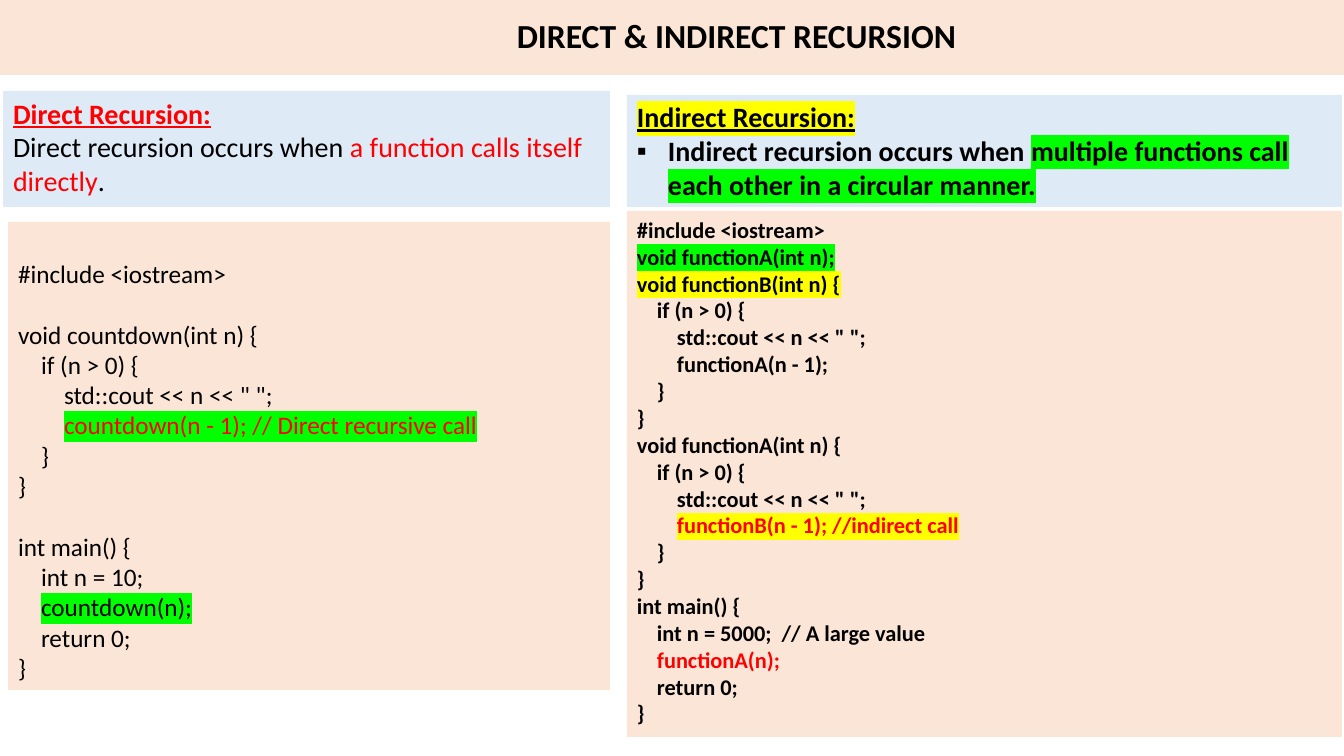
from lxml.etree import SubElement
from pptx import Presentation
from pptx.dml.color import RGBColor
from pptx.enum.shapes import MSO_SHAPE
from pptx.enum.text import MSO_ANCHOR, PP_ALIGN
from pptx.oxml.ns import qn
from pptx.util import Emu, Pt

# Content: each paragraph is (indent depth, [(text, style), ...])
TITLE = [(0, [("DIRECT & INDIRECT RECURSION", "strong")])]

DIRECT = [
    (0, [("Direct Recursion:", "red heading")]),
    (0, [("Direct recursion occurs when ", "plain"),
         ("a function calls itself directly", "red"), (".", "plain")]),
]
INDIRECT = [
    (0, [("Indirect Recursion:", "marked heading")]),
    (1, [("Indirect recursion occurs when ", "strong"),
         ("multiple functions call each other in a circular manner.", "strong green")]),
]
DIRECT_CODE = [
    (0, [("#include <iostream>", "plain")]),
    (0, [("void countdown(int n) {", "plain")]),
    (1, [("if (n > 0) {", "plain")]),
    (2, [('std::cout << n << " ";', "plain")]),
    (2, [("countdown(n - 1); // Direct recursive call", "red green")]),
    (1, [("}", "plain")]),
    (0, [("}", "plain")]),
    (0, [("int main() {", "plain")]),
    (1, [("int n = 10;", "plain")]),
    (1, [("countdown(n);", "green")]),
    (1, [("return 0;", "plain")]),
    (0, [("}", "plain")]),
]
INDIRECT_CODE = [
    (0, [("#include <iostream>", "strong")]),
    (0, [("void functionA(int n);", "strong green")]),
    (0, [("void functionB(int n) {", "strong yellow")]),
    (1, [("if (n > 0) {", "strong")]),
    (2, [('std::cout << n << " ";', "strong")]),
    (2, [("functionA(n - 1);", "strong")]),
    (1, [("}", "strong")]),
    (0, [("}", "strong")]),
    (0, [("void functionA(int n) {", "strong")]),
    (1, [("if (n > 0) {", "strong")]),
    (2, [('std::cout << n << " ";', "strong")]),
    (2, [("\tfunctionB(n - 1); //indirect call", "strong red yellow")]),
    (1, [("}", "strong")]),
    (0, [("}", "strong")]),
    (0, [("int main() {", "strong")]),
    (1, [("int n = 5000;  // A large value", "strong")]),
    (1, [("functionA(n);", "strong red")]),
    (1, [("return 0;", "strong")]),
    (0, [("}", "strong")]),
]

THEME = {
    "font": "Calibri",
    "peach": "FBE5D6", "blue": "DEEBF7", "black": "000000", "red": "FF0000",
    "green": "00FF00", "yellow": "FFFF00",
    "title": 24, "definition": 20, "code": 18, "dense code": 16,
}
STYLES = {
    "plain": {},
    "strong": {"bold": True},
    "red": {"color": "red"},
    "green": {"highlight": "green"},
    "yellow": {"highlight": "yellow"},
    "heading": {"bold": True, "underline": True},
    "marked": {"highlight": "yellow"},
}

# Panels: box in px, fill, type size, indent step in px, paragraphs, options
PANELS = [
    ((0, 0, 1344, 75), "peach", "title", 0, TITLE, {"centered": True, "left": 139}),
    ((8, 222, 602, 468), "peach", "code", 23, DIRECT_CODE,
     {"top": 36, "gaps": ("void", "int main")}),
    ((3, 91, 607, 116), "blue", "definition", 0, DIRECT, {}),
    ((627, 211, 715, 526), "peach", "dense code", 20, INDIRECT_CODE, {}),
    ((627, 95, 715, 112), "blue", "definition", 31, INDIRECT, {"bullet": "▪"}),
]
LINE_HEIGHT = 1.22


def px(n):
    return Emu(round(n * 914400 / 100.8))


def add_run(p, text, style, size):
    look = {"color": "black"}
    for name in style.split():
        look.update(STYLES[name])
    r = p.add_run()
    r.text = text
    values = {"size": Pt(size), "bold": look.get("bold", False),
              "underline": look.get("underline", False)}
    for key, value in values.items():
        setattr(r.font, key, value)
    r.font.color.rgb = RGBColor.from_string(THEME[look["color"]])
    if "highlight" in look:
        mark = SubElement(r.font._element, qn("a:highlight"))
        SubElement(mark, qn("a:srgbClr"), val=THEME[look["highlight"]])
    r.font.name = THEME["font"]


def indent(p, margin, hanging, bullet):
    pPr = p._p.get_or_add_pPr()
    pPr.set("marL", str(px(margin)))
    pPr.set("indent", str(-px(margin) if hanging else 0))
    if bullet:
        SubElement(pPr, qn("a:buFont"), typeface="Wingdings" if bullet == "§" else "Arial")
        SubElement(pPr, qn("a:buChar"), char=bullet)


def add_panel(slide, box, fill, size_name, step, paragraphs, options):
    s = slide.shapes.add_shape(MSO_SHAPE.RECTANGLE, *map(px, box))
    s.shadow.inherit = False
    s.fill.solid()
    s.fill.fore_color.rgb = RGBColor.from_string(THEME[fill])
    s.line.fill.background()

    centered = options.get("centered", False)
    tf = s.text_frame
    frame = {"word_wrap": True,
             "vertical_anchor": MSO_ANCHOR.MIDDLE if centered else MSO_ANCHOR.TOP,
             "margin_left": px(options.get("left", 10)), "margin_right": px(10),
             "margin_top": px(options.get("top", 5)), "margin_bottom": px(5)}
    for key, value in frame.items():
        setattr(tf, key, value)

    size = THEME[size_name]
    for i, (depth, runs) in enumerate(paragraphs):
        p = tf.add_paragraph() if i else tf.paragraphs[0]
        p.alignment = PP_ALIGN.CENTER if centered else PP_ALIGN.LEFT
        if centered:
            p.line_spacing = 0.9
        first_text = runs[0][0]
        if first_text.startswith(options.get("gaps", ())):
            p.space_before = Pt(round(size * LINE_HEIGHT))
        if depth:
            bullet = options.get("bullet")
            indent(p, depth * step, bullet or first_text.startswith("\t"), bullet)
        for text, style in runs:
            add_run(p, text, style, size)


def main():
    prs = Presentation()
    prs.slide_width, prs.slide_height = px(1344), px(756)
    slide = prs.slides.add_slide(prs.slide_layouts[6])
    for panel in PANELS:
        add_panel(slide, *panel)
    prs.save("out.pptx")


if __name__ == "__main__":
    main()
